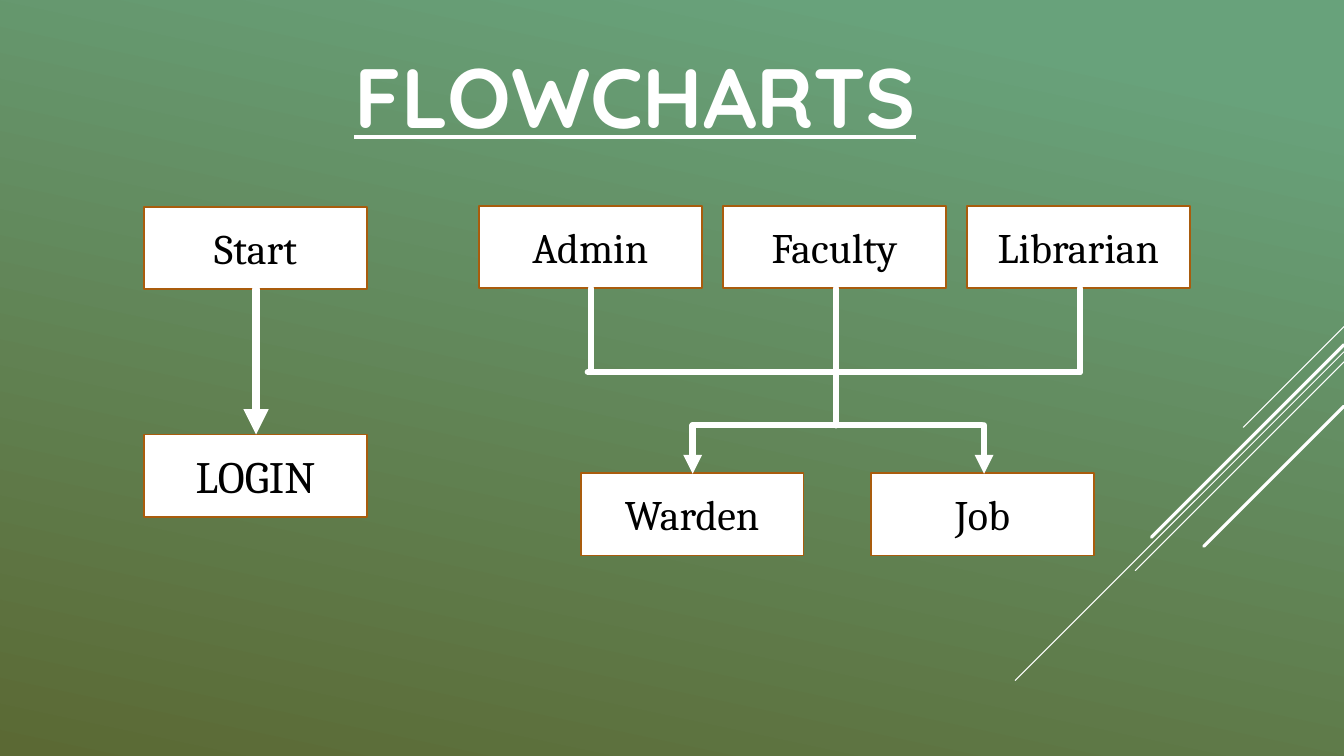
from lxml import etree
from pptx import Presentation
from pptx import util as u
from pptx.dml.color import RGBColor
from pptx.enum import shapes, text
from pptx.oxml import ns

theme = {
    "top": RGBColor.from_string("68A27B"),
    "base": RGBColor.from_string("5B6934"),
    "white": RGBColor.from_string("FFFFFF"),
    "black": RGBColor.from_string("000000"),
    "edge": RGBColor.from_string("A95C0D"),
    "head": "Quicksand",
    "body": "Cambria",
    "title": 60,
    "label": 30,
    "login": 32,
}

deck = Presentation()
deck.slide_width = u.Inches(13.33)
deck.slide_height = u.Inches(7.5)
slide = deck.slides.add_slide(deck.slide_layouts[6])

fill = slide.background.fill
fill.gradient()
fill.gradient_angle = 258
for stop, place, tone in zip(fill.gradient_stops, (0.1, 1), ("top", "base")):
    stop.position = place
    stop.color.rgb = theme[tone]


def draw(x1, y1, x2, y2, width, arrow=False):
    line = slide.shapes.add_connector(
        shapes.MSO_CONNECTOR.STRAIGHT, *map(u.Inches, (x1, y1, x2, y2)))
    line.line.color.rgb = theme["white"]
    line.line.width = u.Pt(width)
    props = line._element.spPr
    stroke = props.find(ns.qn("a:ln"))
    stroke.set("cap", "rnd")
    if arrow:
        etree.SubElement(stroke, ns.qn("a:tailEnd"), type="triangle")
    etree.SubElement(props, ns.qn("a:effectLst"))


def write(shape, words, face, size, tone):
    frame = shape.text_frame
    frame.word_wrap = True
    frame.vertical_anchor = text.MSO_ANCHOR.MIDDLE
    para = frame.paragraphs[0]
    para.text = words
    para.alignment = text.PP_ALIGN.CENTER
    para.font.name = theme[face]
    para.font.size = u.Pt(theme[size])
    para.font.color.rgb = theme[tone]
    return para.font


right = 13.33
for top, span, width in (
    (3.24, 1, 0.75), (3.49, 3.26, 0.75), (3.59, 2.07, 0.75),
    (3.42, 1.91, 2.25), (4.03, 1.39, 2.25),
):
    draw(right, top, right - span, top + span, width)

title = slide.shapes.add_textbox(*map(u.Inches, (0.8, 0.06, 11, 1.76)))
font = write(title, "FLOWCHARTS", "head", "title", "white")
font.bold = font.underline = True

wide, high = 2.21, 0.82
for words, left, top, size in (
    ("Start", 1.43, 2.05, "label"),
    ("LOGIN", 1.43, 4.31, "login"),
    ("Admin", 4.75, 2.04, "label"),
    ("Faculty", 7.17, 2.04, "label"),
    ("Librarian", 9.59, 2.04, "label"),
    ("Warden", 5.76, 4.69, "label"),
    ("Job", 8.64, 4.69, "label"),
):
    box = slide.shapes.add_shape(
        shapes.MSO_SHAPE.FLOWCHART_PROCESS,
        *map(u.Inches, (left, top, wide, high)))
    box.shadow.inherit = False
    box.fill.solid()
    box.fill.fore_color.rgb = theme["white"]
    box.line.color.rgb = theme["edge"]
    box.line.width = u.Pt(1.25)
    write(box, words, "body", size, "black")

draw(2.54, 2.87, 2.54, 4.31, 6, True)

foot, bar, fork, goal = 2.86, 3.69, 4.22, 4.7
for stem in (5.86, 8.29, 10.71):
    draw(stem, foot, stem, bar, 4.5)
draw(10.71, bar, 5.83, bar, 4.5)
draw(8.29, 3.38, 8.29, fork, 4.5)
draw(9.74, fork, 6.87, fork, 4.5)
for stem in (6.87, 9.76):
    draw(stem, fork, stem, goal, 4.5, True)

deck.save("out.pptx")
